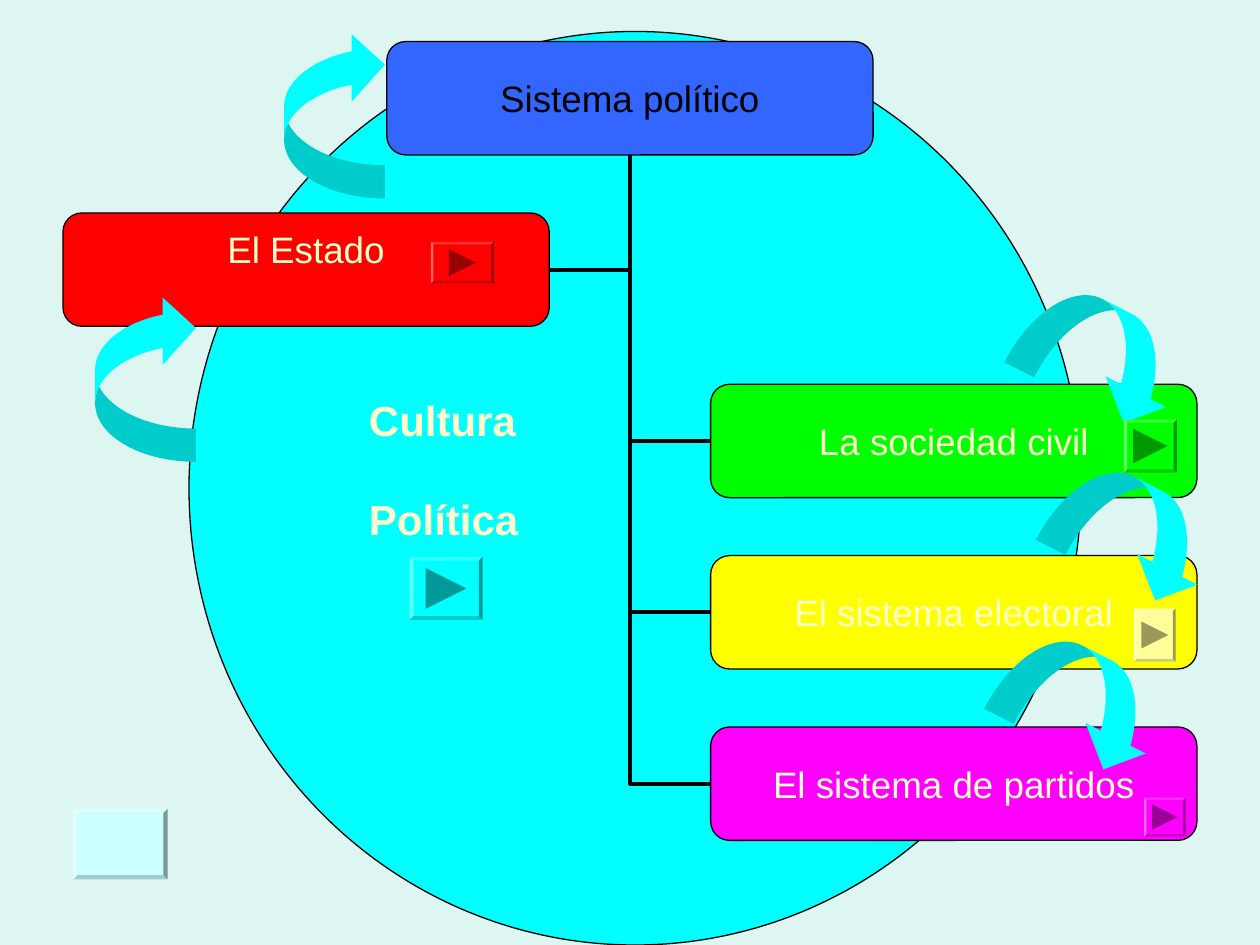
from pptx import Presentation
from pptx.dml.color import RGBColor
from pptx.enum.shapes import MSO_CONNECTOR, MSO_SHAPE
from pptx.enum.text import MSO_ANCHOR, PP_ALIGN
from pptx.oxml.ns import qn
from pptx.util import Inches, Pt
from lxml import etree

ELBOW = MSO_CONNECTOR.ELBOW
OVAL, BOX, BEVEL = MSO_SHAPE.OVAL, MSO_SHAPE.ROUNDED_RECTANGLE, MSO_SHAPE.BEVEL
TRIANGLE, CURVED_ARROW = MSO_SHAPE.ISOSCELES_TRIANGLE, MSO_SHAPE.CURVED_DOWN_ARROW
CENTER, LEFT, MIDDLE = PP_ALIGN.CENTER, PP_ALIGN.LEFT, MSO_ANCHOR.MIDDLE

FONT = "Arial"
CREAM, BLACK, CYAN = "FFFFCC", "000000", "00FFFF"
BOX_W, BOX_H = 3.86, 0.9
ROW_TOP, ROW_STEP = 0.33, 1.36
TOP, SIDE_LEFT, BOTTOM, SIDE_RIGHT = range(4)  # connection sites of a box

# text, left, row, fill, site facing the trunk
BRANCHES = [
    ("El Estado", 0.5, 1, "FF0000", SIDE_RIGHT),
    ("La sociedad civil", 5.64, 2, "00FF00", SIDE_LEFT),
    ("El sistema electoral", 5.64, 3, "FFFF00", SIDE_LEFT),
    ("El sistema de partidos", 5.64, 4, "FF00FF", SIDE_LEFT),
]
# left, top, rotation
ARROWS = [
    (1.99, 0.51, 270),
    (0.49, 2.6, 270),
    (8.33, 3.83, 26.9),
    (8.08, 2.42, 26.9),
    (7.92, 5.17, 26.9),
]
# left, top, width, height, fill
PLAY_BUTTONS = [
    (3.42, 1.92, 0.5, 0.33, "FF0000"),
    (9, 4.83, 0.33, 0.42, "FFFF99"),
    (9.08, 6.33, 0.33, 0.31, "FF00FF"),
    (3.25, 4.42, 0.58, 0.5, CYAN),
    (8.92, 3.33, 0.42, 0.42, "00FF00"),
]


def color(value):
    return RGBColor.from_string(value)


def darker(value):
    return "".join(f"{int(value[i:i + 2], 16) * 6 // 10:02X}" for i in (0, 2, 4))


def add_shape(s, kind, left, top, width, height, fill, outlined=False):
    sp = s.shapes.add_shape(kind, Inches(left), Inches(top), Inches(width), Inches(height))
    sp.shadow.inherit = False
    sp.fill.solid()
    sp.fill.fore_color.rgb = color(fill)
    if outlined:
        sp.line.color.rgb = color(BLACK)
        sp.line.width = Pt(0.75)
    else:
        sp.line.fill.background()
    return sp


def format_text(tf, size, hex_color, align, bold=False):
    for p in tf.paragraphs:
        p.alignment = align
        for r in p.runs:
            r.font.name = FONT
            r.font.size = Pt(size)
            r.font.bold = bold
            r.font.color.rgb = color(hex_color)


def add_box(s, text, left, row, fill, text_color=CREAM):
    top = ROW_TOP + row * ROW_STEP
    sp = add_shape(s, BOX, left, top, BOX_W, BOX_H, fill, outlined=True)
    tf = sp.text_frame
    tf.margin_left = tf.margin_right = tf.margin_top = tf.margin_bottom = 0
    tf.word_wrap = False
    tf.vertical_anchor = MIDDLE
    tf.text = text
    format_text(tf, 21, text_color, CENTER)
    return sp


def add_branch_line(s, branch, site, root):
    """Join a branch to the bottom of the root with a single-bend connector."""
    line = s.shapes.add_connector(ELBOW, 0, 0, 0, 0)
    line.begin_connect(branch, site)
    line.end_connect(root, BOTTOM)
    line.line.color.rgb = color(BLACK)
    line.line.width = Pt(2.25)
    sp_pr = line._element.spPr
    sp_pr.find(qn("a:prstGeom")).set("prst", "bentConnector2")
    etree.SubElement(sp_pr, qn("a:effectLst"))


def add_culture_label(s):
    box = s.shapes.add_textbox(Inches(2.83), Inches(3.08), Inches(1.39), Inches(1.3))
    box.fill.solid()
    box.fill.fore_color.rgb = color(CYAN)
    tf = box.text_frame
    tf.word_wrap = True
    tf.text = "Cultura\nPolítica"
    format_text(tf, 24, CREAM, LEFT, bold=True)
    tf.paragraphs[1].space_before = Pt(28)


def add_curved_arrow(s, left, top, rotation):
    sp = add_shape(s, CURVED_ARROW, left, top, 1.33, 0.8, CYAN)
    sp.rotation = rotation
    for i, value in enumerate((0.33, 0.67, 0.33)):
        sp.adjustments[i] = value


def add_button(s, left, top, width, height, fill):
    sp = add_shape(s, BEVEL, left, top, width, height, fill)
    sp.adjustments[0] = 0.06


def add_play_button(s, left, top, width, height, fill):
    add_button(s, left, top, width, height, fill)
    side = 0.65 * min(width, height)
    sp = add_shape(s, TRIANGLE, left + (width - side) / 2, top + (height - side) / 2,
                   side, side, darker(fill))
    sp.rotation = 90


def main():
    prs = Presentation()
    prs.slide_width, prs.slide_height = Inches(10), Inches(7.5)
    s = prs.slides.add_slide(prs.slide_layouts[6])
    s.background.fill.solid()
    s.background.fill.fore_color.rgb = color("DEF6F1")

    add_shape(s, OVAL, 1.5, 0.25, 7.08, 7.25, CYAN, outlined=True)
    root = add_box(s, "Sistema político", 3.07, 0, "3366FF", BLACK)
    for text, left, row, fill, site in BRANCHES:
        branch = add_box(s, text, left, row, fill)
        add_branch_line(s, branch, site, root)
        if text == "El Estado":
            branch.text_frame.margin_bottom = Inches(0.33)  # raises the text one half line

    add_culture_label(s)
    for arrow in ARROWS:
        add_curved_arrow(s, *arrow)
    for button in PLAY_BUTTONS:
        add_play_button(s, *button)
    add_button(s, 0.58, 6.42, 0.75, 0.56, "CCFFFF")
    prs.save("out.pptx")


if __name__ == "__main__":
    main()
